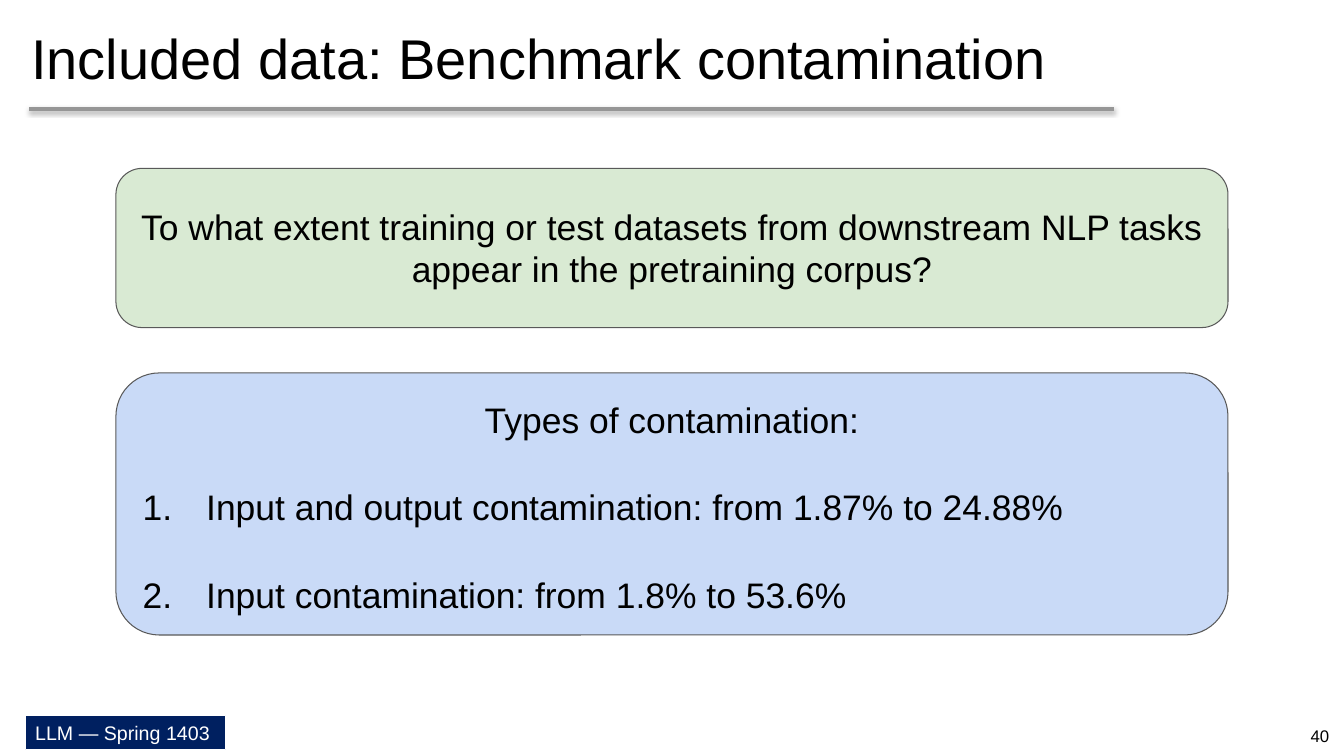
from lxml.etree import SubElement
from pptx import Presentation
from pptx.dml.color import RGBColor
from pptx.enum.shapes import MSO_CONNECTOR, MSO_SHAPE
from pptx.enum.text import MSO_ANCHOR, MSO_AUTO_SIZE, PP_ALIGN
from pptx.oxml.ns import qn
from pptx.util import Inches, Pt

FONT = "Arial"
COLORS = {"black": "000000", "white": "FFFFFF", "navy": "002060", "rule": "969696",
          "outline": "595959", "green": "D9EAD3", "blue": "C9DAF7"}

TITLE = "Included data: Benchmark contamination"
QUESTION = ("To what extent training or test datasets from downstream NLP tasks "
            "appear in the pretraining corpus?")
TYPES_HEADING = "Types of contamination:"
TYPES = ["Input and output contamination: from 1.87% to 24.88%",
         "Input contamination: from 1.8% to 53.6%"]
FOOTER = "LLM — Spring 1403"
PAGE = "40"

CARD_LEFT, CARD_WIDTH = 1.15, 11.03
CARD_SIZE = 25.3
LIST_INDENT = 0.63


def rgb(name):
    return RGBColor.from_string(COLORS[name])


def write(p, text, size, color="black", align=PP_ALIGN.LEFT):
    p.alignment = align
    r = p.add_run()
    r.text = text
    r.font.name = FONT
    r.font.size = Pt(size)
    r.font.color.rgb = rgb(color)


def set_frame(tf, anchor, left=0.1, top=0.05, right=0.1, bottom=0.05):
    tf.word_wrap = True
    tf.auto_size = MSO_AUTO_SIZE.NONE
    tf.vertical_anchor = anchor
    tf.margin_left, tf.margin_top = Inches(left), Inches(top)
    tf.margin_right, tf.margin_bottom = Inches(right), Inches(bottom)


def add_box(s, kind, box, fill, line):
    sp = s.shapes.add_shape(kind, *map(Inches, box))
    sp.shadow.inherit = False
    sp.fill.solid()
    sp.fill.fore_color.rgb = rgb(fill)
    sp.line.color.rgb = rgb(line)
    sp.line.width = Pt(0.75)
    return sp


def add_card(s, top, height, radius, fill):
    sp = add_box(s, MSO_SHAPE.ROUNDED_RECTANGLE,
                 (CARD_LEFT, top, CARD_WIDTH, height), fill, "outline")
    sp.adjustments[0] = radius / height
    return sp.text_frame


def number(p):
    pPr = p._p.get_or_add_pPr()
    pPr.set("marL", str(Inches(LIST_INDENT)))
    pPr.set("indent", str(-Inches(LIST_INDENT)))
    SubElement(pPr, qn("a:buFont"), typeface=FONT)
    SubElement(pPr, qn("a:buAutoNum"), type="arabicPeriod")


def add_title_rule(s):
    rule = s.shapes.add_connector(MSO_CONNECTOR.STRAIGHT, Inches(0.29), Inches(1.08),
                                  Inches(11.05), Inches(1.08))
    rule.line.color.rgb = rgb("rule")
    rule.line.width = Pt(3)
    effects = SubElement(rule._element.spPr, qn("a:effectLst"))
    shadow = SubElement(effects, qn("a:outerShdw"), blurRad=str(Pt(3.1)),
                        dist=str(Pt(1.8)), dir="5400000", rotWithShape="0")
    color = SubElement(shadow, qn("a:srgbClr"), val=COLORS["black"])
    SubElement(color, qn("a:alpha"), val="35000")


def main():
    prs = Presentation()
    prs.slide_width, prs.slide_height = Inches(13.33), Inches(7.5)
    s = prs.slides.add_slide(prs.slide_layouts[5])

    title = s.shapes.title
    title.left, title.top = Inches(0.29), Inches(0.02)
    title.width, title.height = Inches(12.75), Inches(1.06)
    set_frame(title.text_frame, MSO_ANCHOR.MIDDLE, 0.02, 0.04, 0, 0)
    write(title.text_frame.paragraphs[0], TITLE, 40)
    add_title_rule(s)

    tf = add_card(s, 1.67, 1.58, 0.26, "green")
    set_frame(tf, MSO_ANCHOR.MIDDLE, 0, 0, 0, 0)
    p = tf.paragraphs[0]
    p.line_spacing = Pt(30)
    write(p, QUESTION, CARD_SIZE, align=PP_ALIGN.CENTER)

    tf = add_card(s, 3.7, 2.6, 0.43, "blue")
    set_frame(tf, MSO_ANCHOR.TOP, 0.14, 0.12, 0.14, 0)
    write(tf.paragraphs[0], TYPES_HEADING, CARD_SIZE, align=PP_ALIGN.CENTER)
    for item in TYPES:
        p = tf.add_paragraph()
        p.space_before = Pt(32.3)
        number(p)
        write(p, item, CARD_SIZE)

    footer = add_box(s, MSO_SHAPE.RECTANGLE, (0.25, 7.1, 1.99, 0.34), "navy", "white")
    set_frame(footer.text_frame, MSO_ANCHOR.MIDDLE)
    write(footer.text_frame.paragraphs[0], FOOTER, 14, "white")

    page = s.shapes.add_textbox(Inches(12.59), Inches(7.1), Inches(0.74), Inches(0.4))
    set_frame(page.text_frame, MSO_ANCHOR.MIDDLE, left=0.36)
    write(page.text_frame.paragraphs[0], PAGE, 12, align=PP_ALIGN.CENTER)

    prs.save("out.pptx")


if __name__ == "__main__":
    main()
